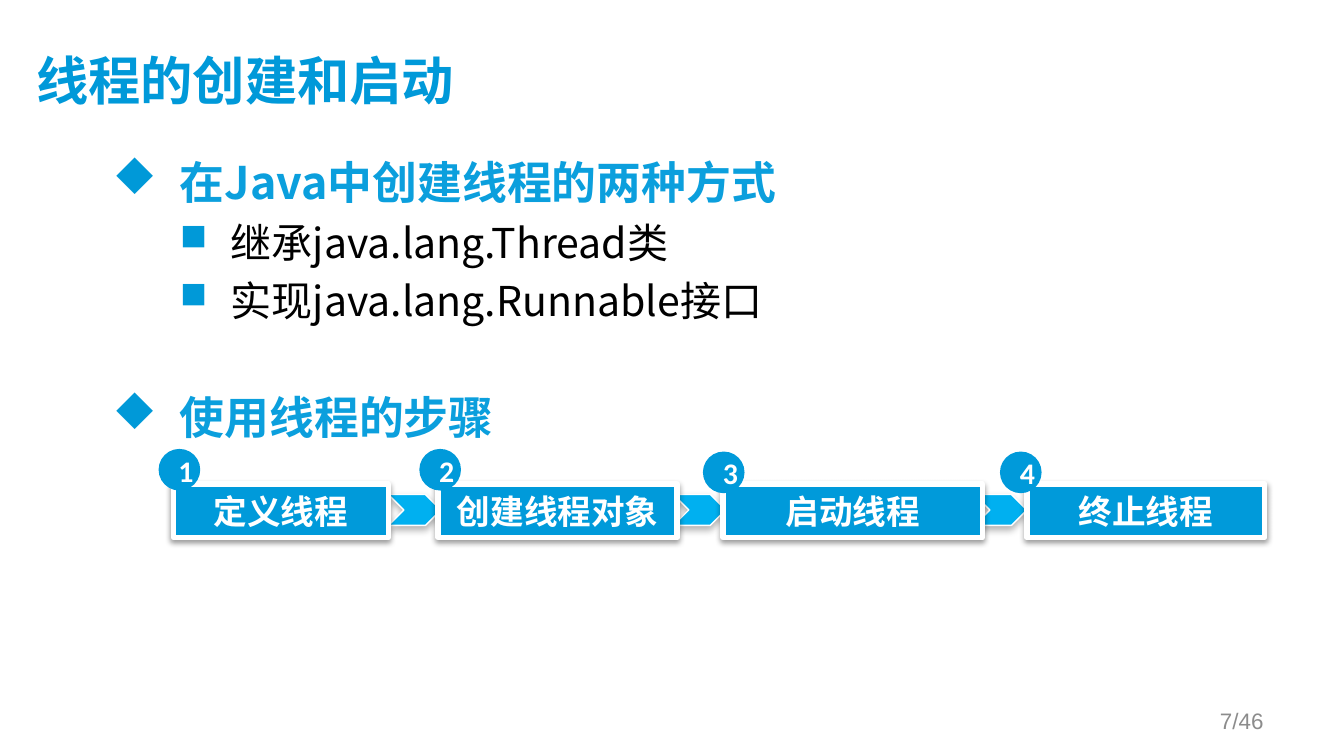
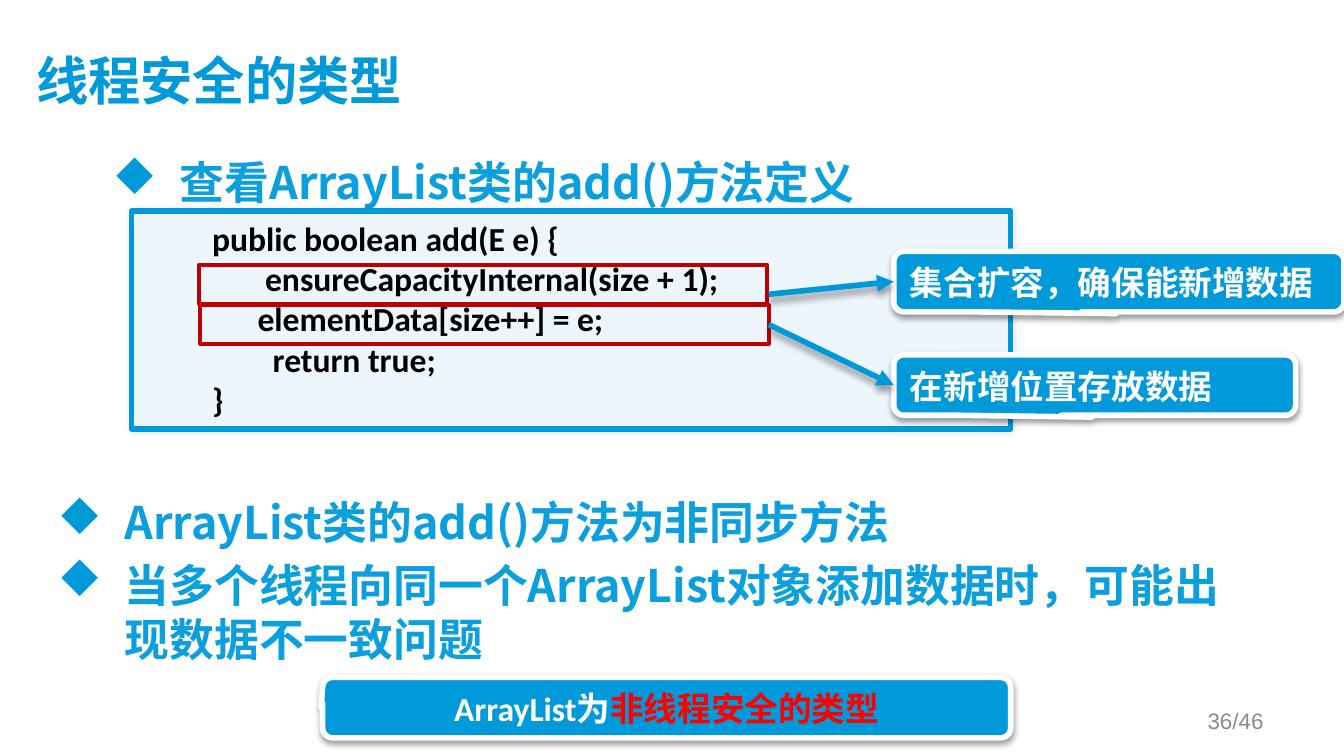
from dataclasses import dataclass

from lxml import etree
from pptx import Presentation
from pptx.dml.color import RGBColor
from pptx.enum.shapes import MSO_CONNECTOR, MSO_SHAPE
from pptx.enum.text import MSO_ANCHOR, PP_ALIGN
from pptx.oxml.ns import qn
from pptx.util import Inches, Pt

LEFT, CENTER, RIGHT = PP_ALIGN.LEFT, PP_ALIGN.CENTER, PP_ALIGN.RIGHT
TOP, MIDDLE = MSO_ANCHOR.TOP, MSO_ANCHOR.MIDDLE
RECT, OVAL = MSO_SHAPE.RECTANGLE, MSO_SHAPE.OVAL
ROUND, CHEVRON = MSO_SHAPE.ROUNDED_RECTANGLE, MSO_SHAPE.CHEVRON
CALLOUT = MSO_SHAPE.ROUNDED_RECTANGULAR_CALLOUT
STRAIGHT = MSO_CONNECTOR.STRAIGHT

SANS, LATIN, PLAIN, SIGNS = "Noto Sans CJK SC", "Calibri", "Arial", "Wingdings"
TITLE, HEAD, MARK, FILL = "0099D9", "0B9FDD", "0099D8", "009ADA"
SKY, PALE, WHITE, BLACK = "00B0F0", "EDF5FD", "FFFFFF", "000000"
GRAY, DARK, RED = "8C8C8C", "C00000", "FF0000"


@dataclass(frozen=True)
class Box:
    left: float
    top: float
    width: float
    height: float


@dataclass(frozen=True)
class Font:
    name: str
    size: int
    color: str
    bold: bool = False


@dataclass(frozen=True)
class Shade:
    alpha: int
    blur: float
    dist: float
    angle: int = 90


@dataclass(frozen=True)
class Look:
    fill: str | None = None
    line: str | None = None
    width: float = 0
    shade: Shade | None = None


@dataclass(frozen=True)
class Point:
    font: Font
    sign: str
    scale: int
    margin: float
    hang: float
    pitch: float
    level: int = 0


@dataclass(frozen=True)
class Item:
    text: str
    point: Point
    before: float = 4.4


@dataclass(frozen=True)
class Step:
    text: str
    box: Box
    dot: tuple[float, float]


@dataclass(frozen=True)
class Note:
    text: str
    target: Box
    box: Box


LABEL = Font(LATIN, 18, WHITE, True)
NOTE = Font(SANS, 18, WHITE, True)
CODE = Font(LATIN, 18, BLACK, True)
DIGIT = Font(LATIN, 16, WHITE, True)
MAIN = Point(Font(SANS, 24, HEAD, True), "u", 100, 0.5, -0.5, 29)
SUB = Point(Font(SANS, 22, BLACK), "n", 90, 0.88, -0.38, 26.6, 1)

PANEL = Look(FILL, WHITE, 3, Shade(38, 3.1, 1.6))
ARROW = Look(SKY, WHITE, 0.75, Shade(30, 4, 2))
SHEET = Look(PALE, MARK, 3, Shade(10, 3, 0, 0))
FRAME = Look(line=DARK, width=2)
DOT = Look(FILL)
LINK = Shade(40, 4, 3)

BODY = Box(0.74, 1.11, 8.49, 3.71)
STEPS = [
    Step("定义线程", Box(1.29, 3.6, 1.6, 0.4), (1.18, 3.34)),
    Step("创建线程对象", Box(3.26, 3.6, 1.78, 0.4), (3.12, 3.34)),
    Step("启动线程", Box(5.38, 3.6, 1.93, 0.4), (5.23, 3.36)),
    Step("终止线程", Box(7.64, 3.6, 1.77, 0.4), (7.44, 3.36)),
]
LINES = [
    "public boolean add(E e) {",
    "       ensureCapacityInternal(size + 1);",
    "      elementData[size++] = e;",
    "        return true;",
    "}",
]
NOTES = [
    Note("集合扩容，确保能新增数据", Box(1.48, 1.97, 4.23, 0.29),
         Box(6.65, 1.87, 3.35, 0.45)),
    Note("在新增位置存放数据", Box(1.49, 2.27, 4.23, 0.29),
         Box(6.65, 2.64, 2.99, 0.45)),
]


def rgb(code: str) -> RGBColor:
    return RGBColor.from_string(code)


def node(parent, tag: str, **attrs):
    return etree.SubElement(parent, qn(tag), {k: str(v) for k, v in attrs.items()})


def place(box: Box) -> tuple:
    return tuple(Inches(v) for v in (box.left, box.top, box.width, box.height))


def cast(effect, shade: Shade) -> None:
    outer = node(effect, "a:outerShdw", blurRad=Pt(shade.blur), dist=Pt(shade.dist),
                 dir=shade.angle * 60000, algn="ctr", rotWithShape=0)
    color = node(outer, "a:srgbClr", val=BLACK)
    node(color, "a:alpha", val=shade.alpha * 1000)


def draw(slide, kind, box: Box, look: Look, adjust: tuple = ()):
    shape = slide.shapes.add_shape(kind, *place(box))
    for i, value in enumerate(adjust):
        shape.adjustments[i] = value
    if look.fill:
        shape.fill.solid()
        shape.fill.fore_color.rgb = rgb(look.fill)
    else:
        shape.fill.background()
    if look.line:
        shape.line.color.rgb = rgb(look.line)
        shape.line.width = Pt(look.width)
    else:
        shape.line.fill.background()
    shape.shadow.inherit = False
    if look.shade:
        cast(shape._element.spPr.find(qn("a:effectLst")), look.shade)
    return shape


def setup(shape, anchor, inset: tuple = (0.1, 0.05, 0.1, 0.05), wrap: bool = True):
    frame = shape.text_frame
    frame.word_wrap = wrap
    frame.vertical_anchor = anchor
    (frame.margin_left, frame.margin_top,
     frame.margin_right, frame.margin_bottom) = (Inches(v) for v in inset)
    return frame


def next_par(frame, first: bool):
    return frame.paragraphs[0] if first else frame.add_paragraph()


def add_run(par, text: str, font: Font) -> None:
    run = par.add_run()
    run.text = text
    run.font.name = font.name
    run.font.size = Pt(font.size)
    run.font.bold = font.bold
    run.font.color.rgb = rgb(font.color)
    east = SANS if font.name == LATIN else font.name
    node(run._r.get_or_add_rPr(), "a:ea", typeface=east)


def write(frame, runs: list[tuple[str, Font]], align) -> None:
    par = frame.paragraphs[0]
    par.alignment = align
    for text, font in runs:
        add_run(par, text, font)


def label(shape, runs: list[tuple[str, Font]], align=CENTER) -> None:
    write(setup(shape, MIDDLE, (0.1, 0.01, 0.1, 0)), runs, align)


def bullets(slide, box: Box, items: list[Item]) -> None:
    frame = setup(slide.shapes.add_textbox(*place(box)), TOP, (0.1, 0.04, 0.1, 0.05))
    for i, item in enumerate(items):
        point = item.point
        par = next_par(frame, i == 0)
        props = par._p.get_or_add_pPr()
        props.set("marL", str(Inches(point.margin)))
        props.set("indent", str(Inches(point.hang)))
        node(node(props, "a:buClr"), "a:srgbClr", val=MARK)
        node(props, "a:buSzPct", val=point.scale * 1000)
        node(props, "a:buFont", typeface=SIGNS, pitchFamily=2, charset=2)
        node(props, "a:buChar", char=point.sign)
        par.level = point.level
        par.line_spacing = Pt(point.pitch)
        if i:
            par.space_before = Pt(item.before)
        add_run(par, item.text, point.font)


def start(deck, title: str, page: str):
    slide = deck.slides.add_slide(deck.slide_layouts[6])
    head = slide.shapes.add_textbox(*place(Box(0.27, 0.23, 8.95, 0.77)))
    write(setup(head, MIDDLE, (0, 0, 0.1, 0.05)),
          [(title, Font(SANS, 28, TITLE, True))], LEFT)
    foot = slide.shapes.add_textbox(*place(Box(7.17, 5.21, 2.33, 0.3)))
    write(setup(foot, MIDDLE), [(page, Font(PLAIN, 12, GRAY))], RIGHT)
    return slide


def link(slide, frame, panel, joined: bool) -> None:
    line = slide.shapes.add_connector(
        STRAIGHT, Inches(5.72), Inches(2.19), panel.left, panel.top + panel.height // 2)
    if joined:
        line.begin_connect(frame, 3)
    line.end_connect(panel, 1)
    line.line.color.rgb = rgb(MARK)
    line.line.width = Pt(3)
    node(line.line._get_or_add_ln(), "a:tailEnd", type="triangle")
    cast(node(line._element.spPr, "a:effectLst"), LINK)


def create(deck) -> None:
    slide = start(deck, "线程的创建和启动", "7/46")
    bullets(slide, BODY, [
        Item("在Java中创建线程的两种方式", MAIN),
        Item("继承java.lang.Thread类", SUB),
        Item("实现java.lang.Runnable接口", SUB),
        Item("使用线程的步骤", MAIN, 35),
    ])
    for left in (2.89, 5.01, 7.25):
        draw(slide, CHEVRON, Box(left, 3.68, 0.39, 0.23), ARROW)
    for step in STEPS:
        label(draw(slide, RECT, step.box, PANEL), [(step.text, LABEL)])
    for i, step in enumerate(STEPS, 1):
        dot = draw(slide, OVAL, Box(*step.dot, 0.31, 0.31), DOT)
        write(setup(dot, MIDDLE, (0.1, 0.01, 0, 0), False), [(str(i), DIGIT)], CENTER)


def safety(deck) -> None:
    slide = start(deck, "线程安全的类型", "36/46")
    bullets(slide, BODY, [Item("查看ArrayList类的add()方法定义", MAIN)])
    sheet = setup(draw(slide, ROUND, Box(0.98, 1.57, 6.54, 1.62), SHEET, (0,)), TOP)
    for i, text in enumerate(LINES):
        par = next_par(sheet, i == 0)
        par.alignment = LEFT
        par._p.get_or_add_pPr().set("marL", str(Inches(0.5)))
        add_run(par, text, CODE)
    pairs = []
    for note in NOTES:
        frame = draw(slide, RECT, note.target, FRAME)
        panel = draw(slide, CALLOUT, note.box, PANEL, (-0.006, 0.529, 0.167))
        label(panel, [(note.text, NOTE)], LEFT)
        pairs.append((frame, panel))
    bullets(slide, Box(0.33, 3.64, 8.86, 1.52), [
        Item("ArrayList类的add()方法为非同步方法", MAIN),
        Item("当多个线程向同一个ArrayList对象添加数据时，可能出现数据不一致问题", MAIN),
    ])
    final = draw(slide, CALLOUT, Box(2.4, 5.04, 5.12, 0.45), PANEL,
                 (-0.502, -0.003, 0.167))
    label(final, [("ArrayList为", LABEL),
                  ("非线程安全的类型", Font(LATIN, 18, RED, True))])
    for i, (frame, panel) in enumerate(pairs):
        link(slide, frame, panel, i == 1)


def main() -> None:
    deck = Presentation()
    deck.slide_width = Inches(10)
    deck.slide_height = deck.slide_width * 9 // 16
    create(deck)
    safety(deck)
    deck.save("out.pptx")


if __name__ == "__main__":
    main()
